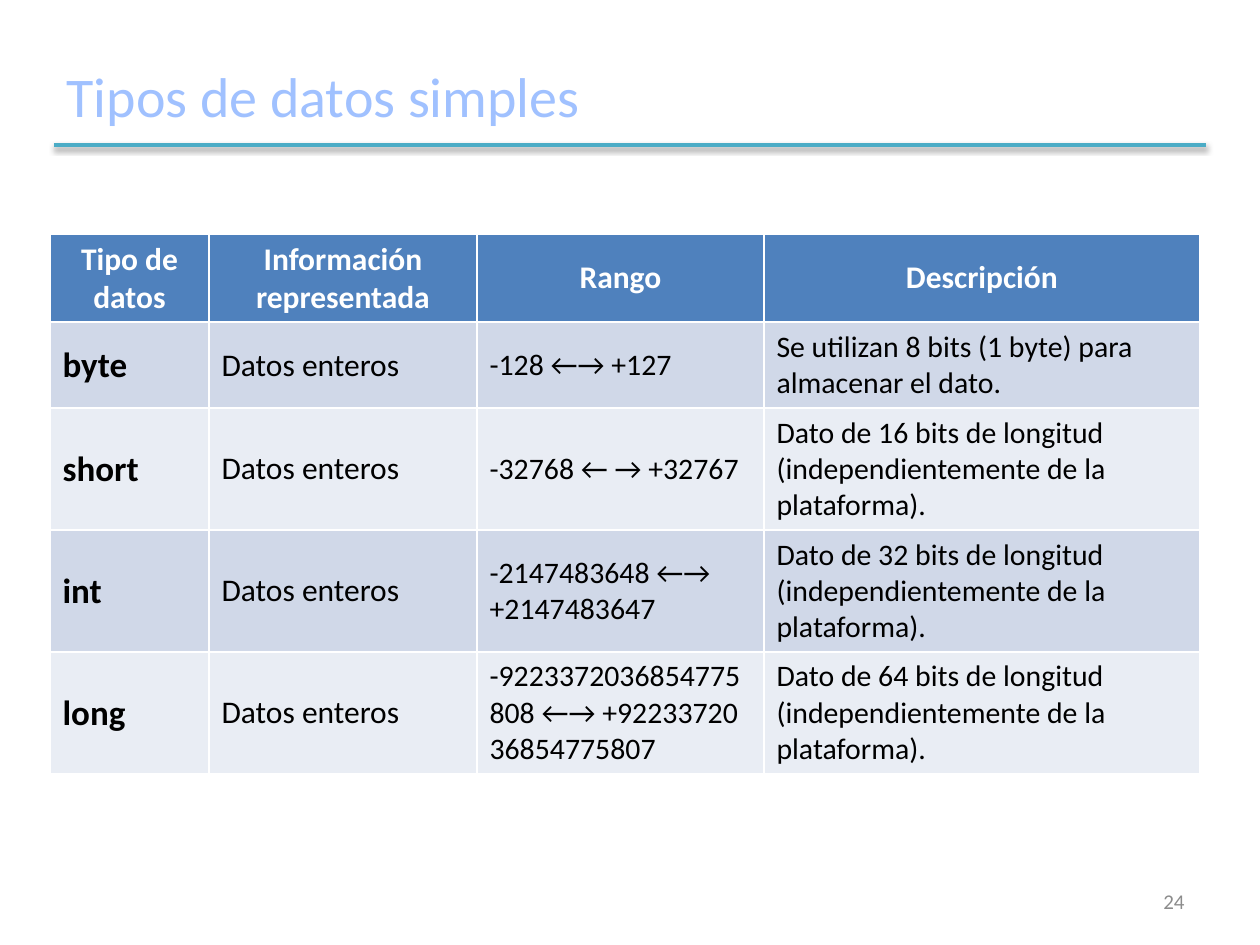
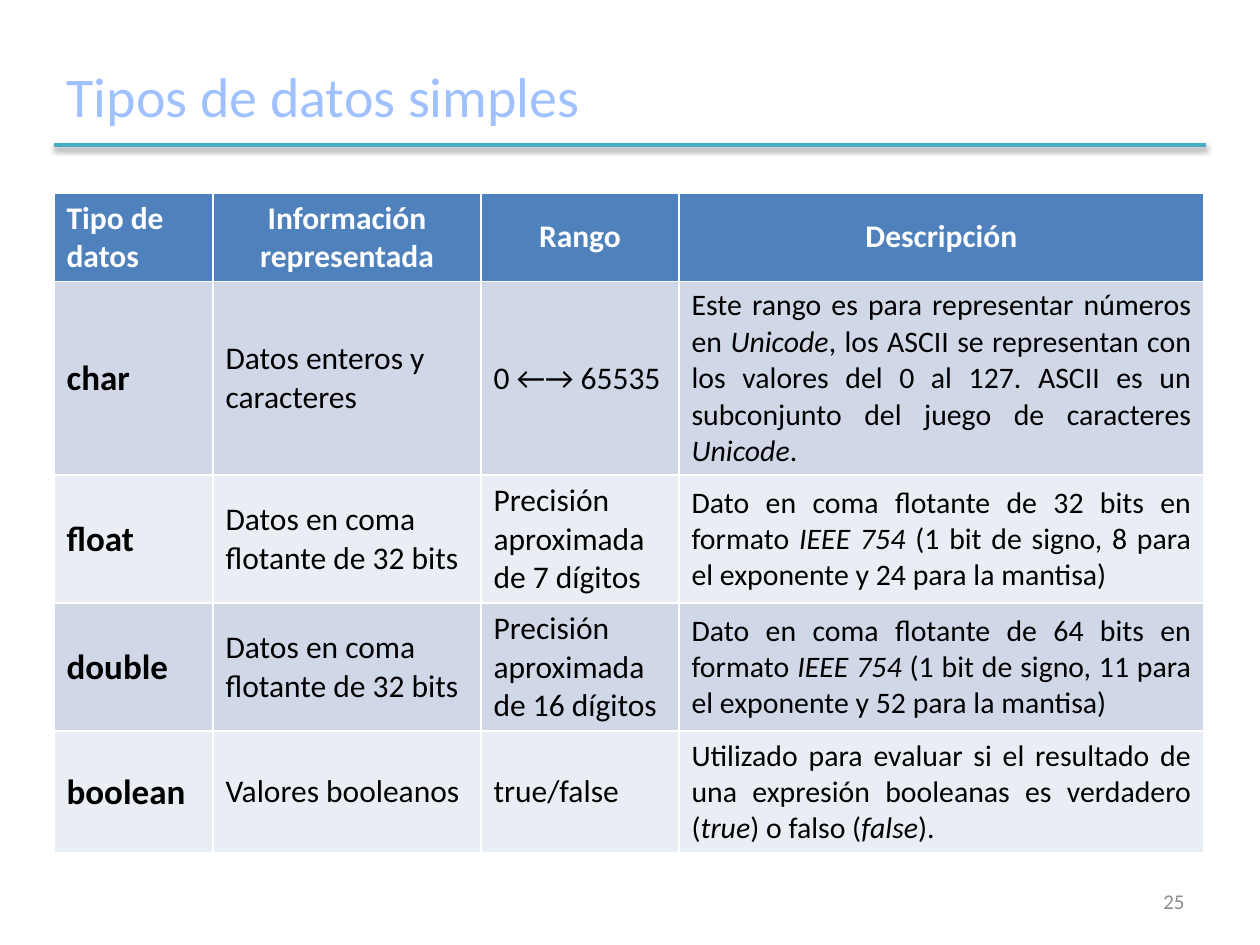
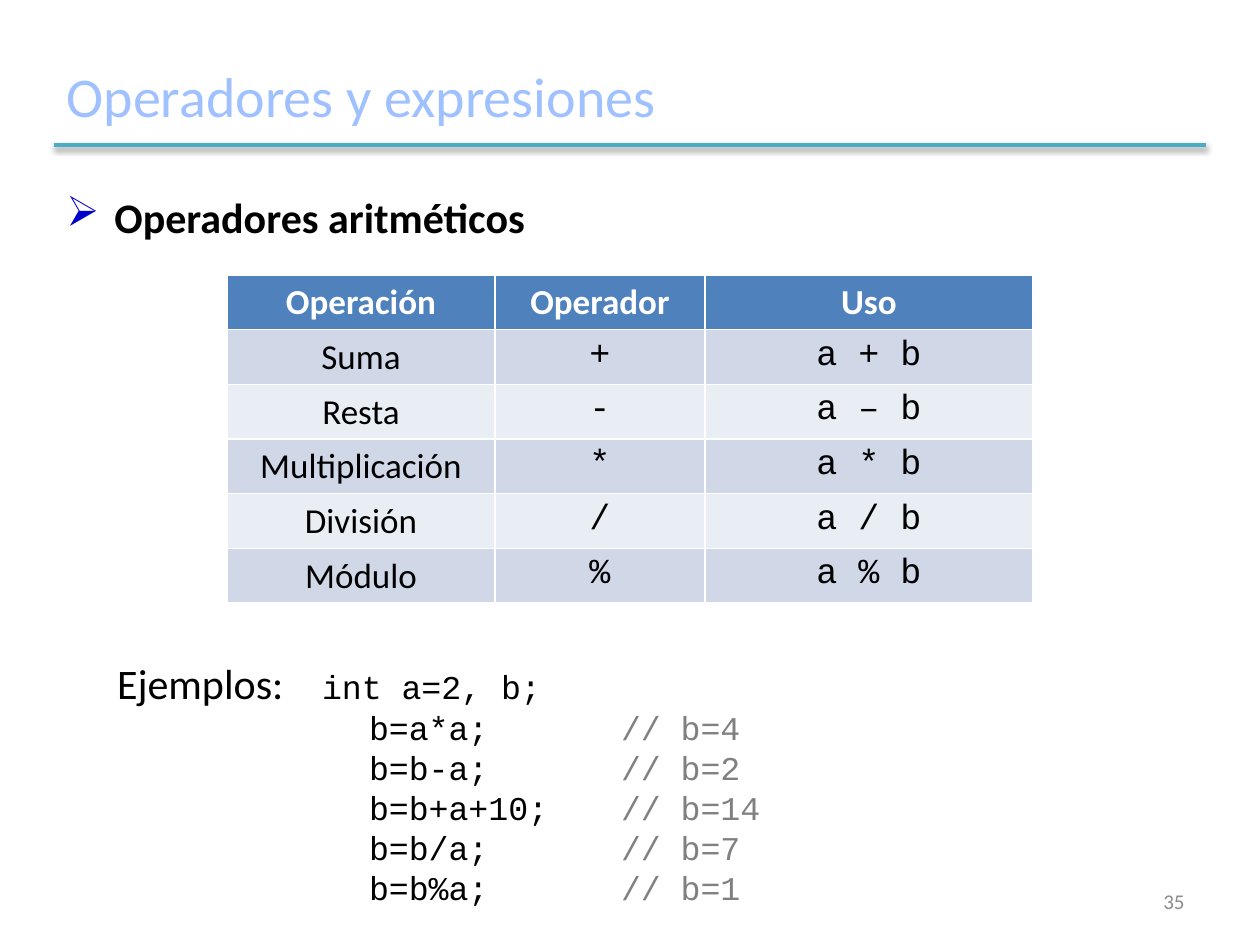
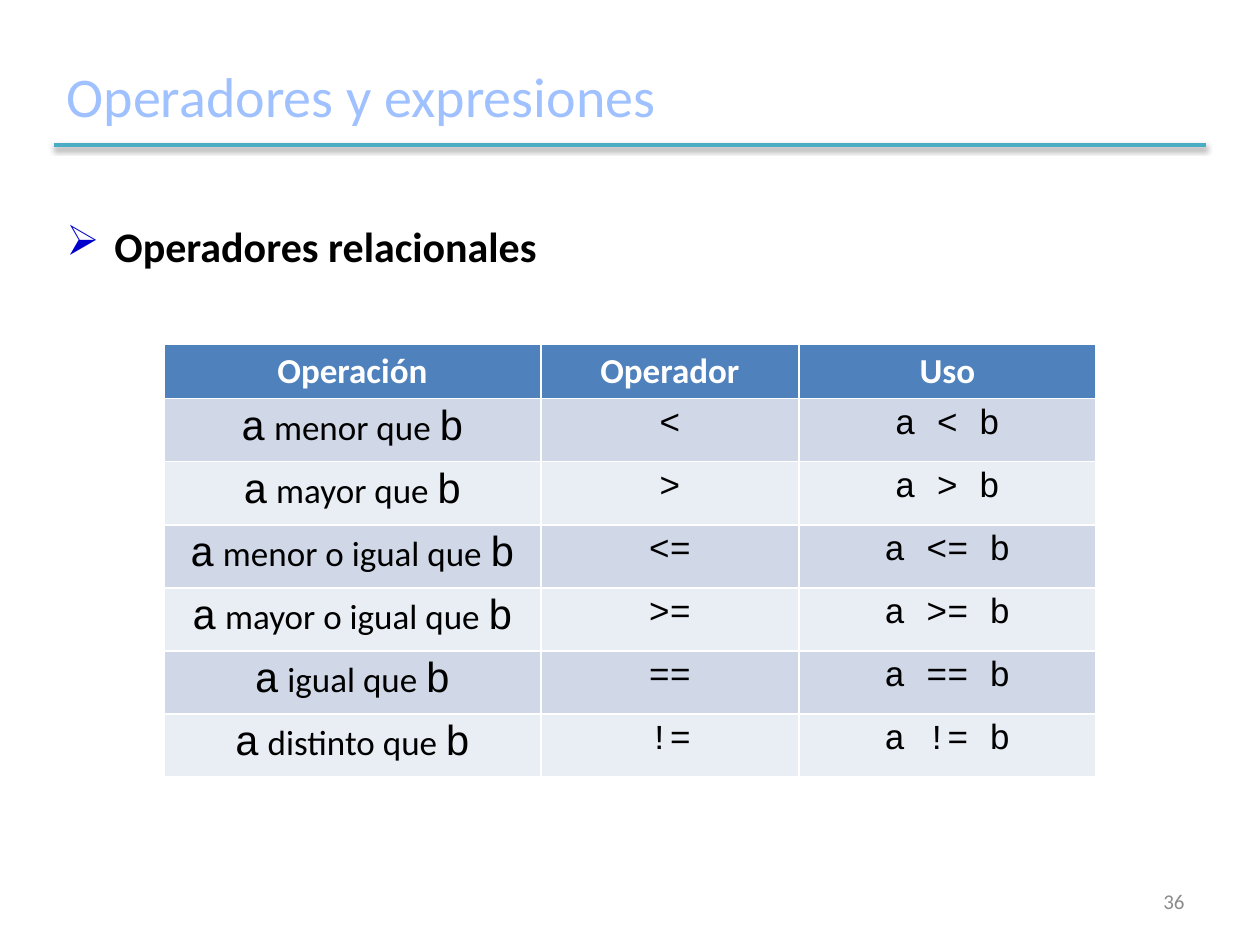
import pptx
import pptx.dml.color
import pptx.enum.shapes
import pptx.enum.text
import pptx.util
import lxml.etree

ALIGN = pptx.enum.text.PP_ALIGN
ANCHOR = pptx.enum.text.MSO_ANCHOR
SANS, MONO = "Calibri", "Courier New"
NS = "http://schemas.openxmlformats.org/drawingml/2006/main"
COLORS = {
    "title": "A0C1FF", "rule": "4BACC6", "header": "4F81BD", "odd": "D0D8E8",
    "even": "E9EDF4", "white": "FFFFFF", "black": "000000", "bullet": "0000CC",
    "comment": "808080", "number": "8C8C8C",
}

HEADER = dict(size=18, bold=True, color="white", align=ALIGN.CENTER)
NAME = dict(size=20, bold=True)
BODY = dict(size=18)
SMALL = dict(size=17)
JUSTIFIED = dict(size=17, align=ALIGN.JUSTIFY)
ITALIC = dict(italic=True)
OP_HEADER = dict(HEADER, size=20)
OP_NAME = dict(size=20, align=ALIGN.CENTER)
OP_CODE = dict(OP_NAME, name=MONO)
OPERAND = dict(size=24, name=MONO)

TYPE_HEADS = ["Tipo de datos", "Información representada", "Rango", "Descripción"]
INTEGERS = [
    ("byte", "-128 ←→ +127", "Se utilizan 8 bits (1 byte) para almacenar el dato."),
] + [
    (name, span, f"Dato de {bits} bits de longitud (independientemente de la plataforma).")
    for name, bits, span in [
        ("short", 16, "-32768 ← → +32767"),
        ("int", 32, "-2147483648 ←→ +2147483647"),
        ("long", 64, "-9223372036854775 808 ←→ +92233720 36854775807"),
    ]
]
INTEGER_ROWS = [(name, "Datos enteros", span, note) for name, span, note in INTEGERS]
FLOAT_ROWS = [
    (name, "Datos en coma flotante de 32 bits", f"Precisión aproximada de {digits} dígitos",
     f"Dato en coma flotante de {bits} bits en formato _IEEE 754 _"
     f"(1 bit de signo, {exponent} para el exponente y {mantissa} para la mantisa)")
    for name, bits, digits, exponent, mantissa in [
        ("float", 32, 7, 8, 24), ("double", 64, 16, 11, 52)]
]
OTHER_ROWS = [
    ("char", "Datos enteros y caracteres", "0 ←→ 65535",
     "Este rango es para representar números en _Unicode_, los ASCII se representan con "
     "los valores del 0 al 127. ASCII es un subconjunto del juego de caracteres _Unicode_."),
    *FLOAT_ROWS,
    ("boolean", "Valores booleanos", "true/false",
     "Utilizado para evaluar si el resultado de una expresión booleanas es verdadero "
     "(_true_) o falso (_false_)."),
]
OP_HEADS = ["Operación", "Operador", "Uso"]
ARITHMETIC_ROWS = [
    ("Suma", "+", "a + b"), ("Resta", "-", "a – b"), ("Multiplicación", "*", "a * b"),
    ("División", "/", "a / b"), ("Módulo", "%", "a % b"),
]
RELATIONAL_ROWS = [
    (f"_a_ {words} que _b_", op, f"a {op} b")
    for words, op in [("menor", "<"), ("mayor", ">"), ("menor o igual", "<="),
                      ("mayor o igual", ">="), ("igual", "=="), ("distinto", "!=")]
]
EXAMPLES = [("b=a*a;", "// b=4"), ("b=b-a;", "// b=2"), ("b=b+a+10;", "// b=14"),
            ("b=b/a;", "// b=7"), ("b=b%a;", "// b=1")]


def px(n):
    """Turn px into EMU."""
    return pptx.util.Emu(round(n * 914400 / 126))


def rgb(key):
    """Return a palette colour."""
    return pptx.dml.color.RGBColor.from_string(COLORS[key])


def add_xml(parent, xml):
    """Append a DrawingML fragment to an element."""
    wrapper = lxml.etree.fromstring(f'<a:w xmlns:a="{NS}">{xml}</a:w>')
    for child in list(wrapper):
        parent.append(child)


def set_font(font, size=None, name=None, color=None, bold=None, italic=None):
    """Set the given font properties."""
    if size:
        font.size = pptx.util.Pt(size)
    if name:
        font.name = name
    if color:
        font.color.rgb = rgb(color)
    if bold is not None:
        font.bold = bold
    if italic is not None:
        font.italic = italic


def add_run(p, text, **style):
    """Add a run to a paragraph."""
    r = p.add_run()
    r.text = text
    set_font(r.font, **style)


def write(p, text, size, name=SANS, color="black", bold=False, align=ALIGN.LEFT, marked=ITALIC):
    """Fill a paragraph, styling the parts between underscores as marked."""
    p.alignment = align
    set_font(p.font, size, name, color, bold)
    for i, part in enumerate(text.split("_")):
        if part:
            add_run(p, part, **(marked if i % 2 else {}))


def add_text(slide, box):
    """Add a wrapping text box and return its text frame."""
    tf = slide.shapes.add_textbox(*map(px, box)).text_frame
    tf.word_wrap = True
    return tf


def add_base(prs, title, number):
    """Add a slide with its title, rule and slide number."""
    slide = prs.slides.add_slide(prs.slide_layouts[5])
    sp = slide.shapes.title
    sp.left, sp.top, sp.width, sp.height = map(px, (54, 45, 1153, 100))
    tf = sp.text_frame
    tf.vertical_anchor = ANCHOR.MIDDLE
    write(tf.paragraphs[0], title, 32, color="title")

    rule = slide.shapes.add_connector(
        pptx.enum.shapes.MSO_CONNECTOR.STRAIGHT, px(54), px(145), px(1206), px(145))
    rule.line.color.rgb = rgb("rule")
    rule.line.width = pptx.util.Pt(2)
    add_xml(rule._element.spPr,
            '<a:effectLst><a:outerShdw blurRad="40000" dist="20000" dir="5400000" '
            'rotWithShape="0"><a:srgbClr val="000000"><a:alpha val="38000"/>'
            '</a:srgbClr></a:outerShdw></a:effectLst>')

    tf = add_text(slide, (903, 876, 294, 50))
    tf.vertical_anchor = ANCHOR.MIDDLE
    write(tf.paragraphs[0], str(number), 12, color="number", align=ALIGN.RIGHT)
    return slide


def add_grid(slide, origin, widths, heights, rows, head_styles, styles, anchor):
    """Add a banded table whose columns each have a header and a body style."""
    box = (*origin, sum(widths), sum(heights))
    table = slide.shapes.add_table(len(rows), len(widths), *map(px, box)).table
    for column, width in zip(table.columns, widths):
        column.width = px(width)
    for i, (row, height, texts) in enumerate(zip(table.rows, heights, rows)):
        row.height = px(height)
        fill = "header" if i == 0 else "odd" if i % 2 else "even"
        for cell, text, style in zip(row.cells, texts, styles if i else head_styles):
            cell.fill.solid()
            cell.fill.fore_color.rgb = rgb(fill)
            cell.vertical_anchor = anchor
            write(cell.text_frame.paragraphs[0], text, **style)


def add_types_slide(prs, number, origin, widths, heights, rows, first_align, styles):
    """Add a slide with a table of simple data types."""
    slide = add_base(prs, "Tipos de datos simples", number)
    heads = [dict(HEADER, align=first_align)] + [HEADER] * 3
    add_grid(slide, origin, widths, heights, [TYPE_HEADS] + rows, heads, styles, ANCHOR.MIDDLE)


def add_bullet(slide, top, text):
    """Add the bulleted heading of an operator family."""
    p = add_text(slide, (54, top, 1150, 63)).paragraphs[0]
    pPr = p._p.get_or_add_pPr()
    pPr.set("marL", str(px(48)))
    pPr.set("indent", str(-px(48)))
    add_xml(pPr, f'<a:buClr><a:srgbClr val="{COLORS["bullet"]}"/></a:buClr><a:buChar char="➢"/>')
    p.space_before = p.space_after = pptx.util.Pt(6)
    write(p, text, 24, bold=True, align=ALIGN.JUSTIFY)


def add_operators_slide(prs, number, bullet_top, heading, origin, widths, row_height, rows):
    """Add a slide with a table of operators."""
    slide = add_base(prs, "Operadores y expresiones", number)
    add_bullet(slide, bullet_top, heading)
    heights = [54] + [row_height] * len(rows)
    styles = [dict(OP_NAME, marked=OPERAND), OP_CODE, OP_CODE]
    add_grid(slide, origin, widths, heights, [OP_HEADS] + rows, [OP_HEADER] * 3, styles,
             ANCHOR.TOP)
    return slide


def add_code_line(p, stops):
    """Justify a code paragraph and set its tab stops in px."""
    tabs = "".join(f'<a:tab pos="{px(stop)}" algn="l"/>' for stop in stops)
    add_xml(p._p.get_or_add_pPr(), f"<a:tabLst>{tabs}</a:tabLst>")
    p.alignment = ALIGN.JUSTIFY
    set_font(p.font, 19, MONO, "black")


def add_examples(slide, box):
    """Add the commented code examples."""
    tf = add_text(slide, box)
    tf.margin_left = px(63)
    p = tf.paragraphs[0]
    add_code_line(p, [205])
    add_run(p, "Ejemplos:\t", size=24, name=SANS)
    add_run(p, "int a=2, b;")
    for code, comment in EXAMPLES:
        p = tf.add_paragraph()
        add_code_line(p, [252, 504])
        add_run(p, f"\t{code}\t")
        add_run(p, comment, color="comment")


def main():
    """Build the four slides."""
    prs = pptx.Presentation()
    prs.slide_width, prs.slide_height = px(1260), px(945)
    add_types_slide(prs, 24, (50, 234), (159, 268, 287, 436), (88, 86, 122, 122, 122),
                    INTEGER_ROWS, ALIGN.CENTER, [NAME, BODY, SMALL, SMALL])
    add_types_slide(prs, 25, (54, 193), (159, 268, 198, 525), (88, 194, 128, 128, 122),
                    OTHER_ROWS, ALIGN.LEFT, [NAME, BODY, BODY, JUSTIFIED])
    slide = add_operators_slide(prs, 35, 185, "Operadores aritméticos", (227, 275),
                                (268, 210, 328), 54, ARITHMETIC_ROWS)
    add_examples(slide, (54, 651, 1150, 265))
    add_operators_slide(prs, 36, 214, "Operadores relacionales", (164, 344),
                        (377, 258, 297), 63, RELATIONAL_ROWS)
    prs.save("out.pptx")


if __name__ == "__main__":
    main()
